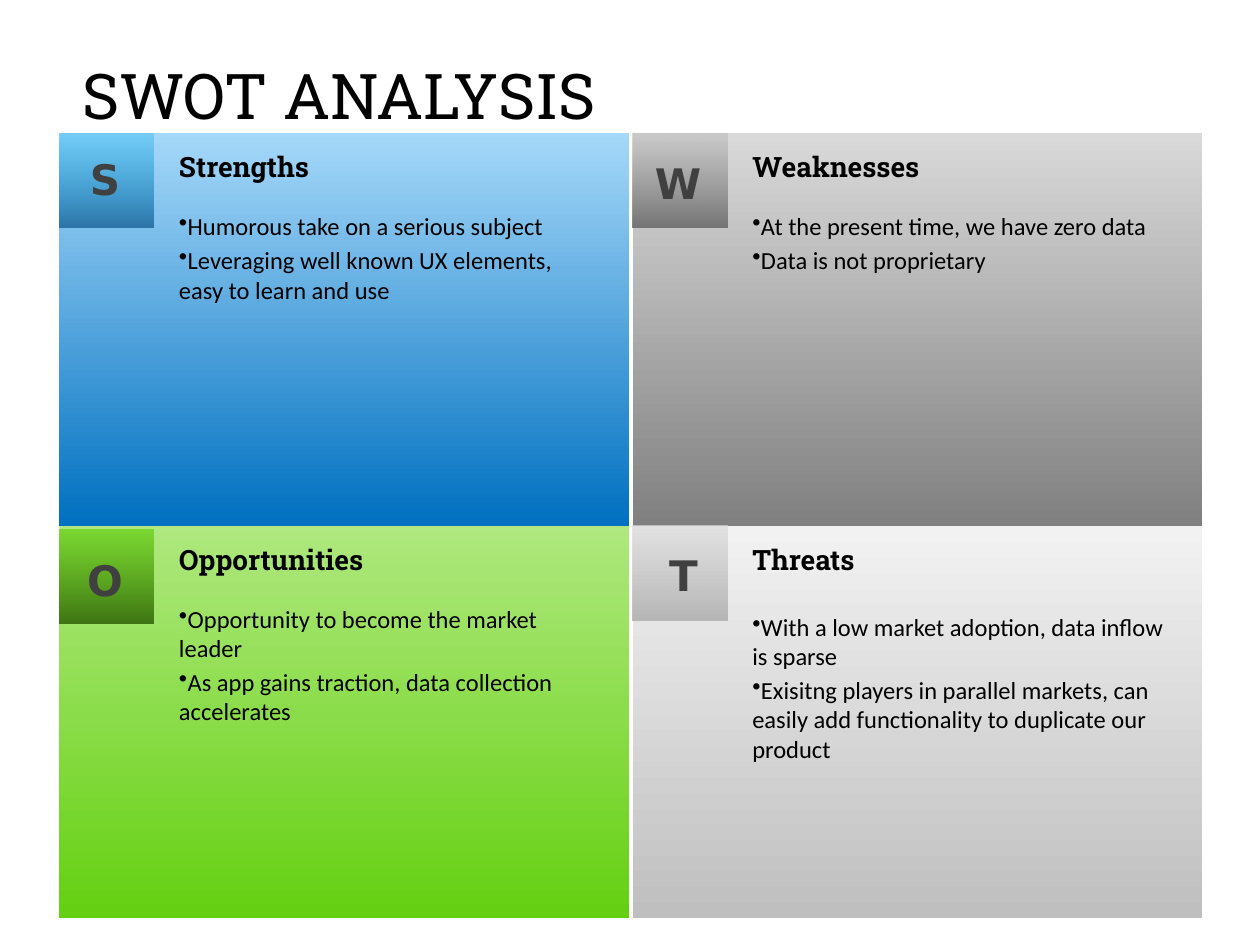
from dataclasses import dataclass

from pptx import Presentation
from pptx.dml.color import RGBColor
from pptx.enum.shapes import MSO_SHAPE
from pptx.enum.text import MSO_AUTO_SIZE, PP_ALIGN
from pptx.oxml.ns import qn
from pptx.util import Pt


@dataclass(frozen=True)
class Theme:
    text: str = "000000"
    letter: str = "404040"
    heading_font: str = "Roboto Slab"
    body_font: str = "Calibri"
    letter_font: str = "DejaVu Sans"
    title_size: float = 36
    heading_size: float = 16
    body_size: float = 14
    letter_size: float = 24


@dataclass(frozen=True)
class Quadrant:
    letter: str
    heading: str
    points: tuple
    panel_colors: tuple
    badge_colors: tuple
    badge_opacity: tuple
    letter_offset: tuple
    letter_width: float = 36
    letter_align: PP_ALIGN = PP_ALIGN.CENTER
    badge_drop: float = 0
    list_gap: float = 16


THEME = Theme()
GRID_LEFT, GRID_TOP = 34, 76.3
COLUMN_PITCH, ROW_PITCH = 327.6, 224.2
PANEL_WIDTH, PANEL_HEIGHT = 325.4, 224.4
BADGE_SIZE = 54

QUADRANTS = (
    Quadrant("S", "Strengths",
             ("Humorous take on a serious subject",
              "Leveraging well known UX elements, easy to learn and use"),
             ("A5D8F9", "0070C0"), ("00B0F0", "004C84"), (30, 65), (8, 8)),
    Quadrant("W", "Weaknesses",
             ("At the present time, we have zero data",
              "Data is not proprietary"),
             ("D9D9D9", "808080"), ("BFBFBF", "595959"), (58, 74), (4.3, 10),
             letter_width=43.2),
    Quadrant("O", "Opportunities",
             ("Opportunity to become the market leader",
              "As app gains traction, data collection accelerates"),
             ("AFE87E", "64D011"), ("64D011", "326609"), (70, 88), (8, 10.8),
             badge_drop=2),
    Quadrant("T", "Threats",
             ("With a low market adoption, data inflow is sparse",
              "Exisitng players in parallel markets, can easily add "
              "functionality to duplicate our product"),
             ("F2F2F2", "BFBFBF"), ("D9D9D9", "A6A6A6"), (66, 75), (13.7, 10),
             letter_align=PP_ALIGN.LEFT, list_gap=20.5),
)


def add_gradient_box(slide, left, top, width, height, colors, opacity=(100, 100)):
    box = slide.shapes.add_shape(
        MSO_SHAPE.RECTANGLE, Pt(left), Pt(top), Pt(width), Pt(height))
    box.shadow.inherit = False
    box.line.fill.background()
    box.fill.gradient()
    box.fill.gradient_angle = 270
    for stop, color in zip(box.fill.gradient_stops, colors):
        stop.color.rgb = RGBColor.from_string(color)
    for element, percent in zip(box.element.spPr.iter(qn("a:srgbClr")), opacity):
        if percent < 100:
            alpha = element.makeelement(qn("a:alpha"), {"val": str(percent * 1000)})
            element.append(alpha)


def add_text_box(slide, left, top, width, height):
    box = slide.shapes.add_textbox(Pt(left), Pt(top), Pt(width), Pt(height))
    box.text_frame.word_wrap = True
    box.text_frame.auto_size = MSO_AUTO_SIZE.SHAPE_TO_FIT_TEXT
    return box.text_frame


def write(para, text, font, size, color=THEME.text, bold=False):
    para.text = text
    for span in para.runs:
        span.font.name = font
        span.font.size = Pt(size)
        span.font.bold = bold
        span.font.color.rgb = RGBColor.from_string(color)


def add_bullet(para):
    properties = para._p.get_or_add_pPr()
    properties.set("marL", "0")
    properties.set("indent", "0")
    bullet = properties.makeelement(qn("a:buChar"), {"char": "•"})
    properties.append(bullet)


def add_title(slide, text):
    frame = add_text_box(slide, 40.3, 28.8, 356.4, 51)
    write(frame.paragraphs[0], text, THEME.heading_font, THEME.title_size)


def add_badge(slide, quadrant, left, top):
    add_gradient_box(slide, left, top, BADGE_SIZE, BADGE_SIZE,
                     quadrant.badge_colors, quadrant.badge_opacity)
    shift_x, shift_y = quadrant.letter_offset
    frame = add_text_box(slide, left + shift_x, top + shift_y,
                         quadrant.letter_width, 32.4)
    para = frame.paragraphs[0]
    para.alignment = quadrant.letter_align
    write(para, quadrant.letter, THEME.letter_font, THEME.letter_size,
          THEME.letter, bold=True)


def add_points(slide, quadrant, left, top):
    frame = add_text_box(slide, left, top, 255.6, 90)
    write(frame.paragraphs[0], quadrant.heading, THEME.heading_font,
          THEME.heading_size, bold=True)
    for index, point in enumerate(quadrant.points):
        para = frame.add_paragraph()
        add_bullet(para)
        para.space_before = Pt(2.5 if index else quadrant.list_gap)
        write(para, point, THEME.body_font, THEME.body_size)


def add_quadrant(slide, quadrant, left, top):
    add_gradient_box(slide, left, top, PANEL_WIDTH, PANEL_HEIGHT,
                     quadrant.panel_colors)
    add_points(slide, quadrant, left + 61.2, top + 5.8)
    add_badge(slide, quadrant, left, top + quadrant.badge_drop)


def main():
    deck = Presentation()
    deck.slide_width, deck.slide_height = Pt(720), Pt(540)
    page = deck.slides.add_slide(deck.slide_layouts[6])
    add_title(page, "SWOT ANALYSIS")
    for index, quadrant in enumerate(QUADRANTS):
        row, column = divmod(index, 2)
        add_quadrant(page, quadrant, GRID_LEFT + column * COLUMN_PITCH,
                     GRID_TOP + row * ROW_PITCH)
    deck.save("out.pptx")


if __name__ == "__main__":
    main()
